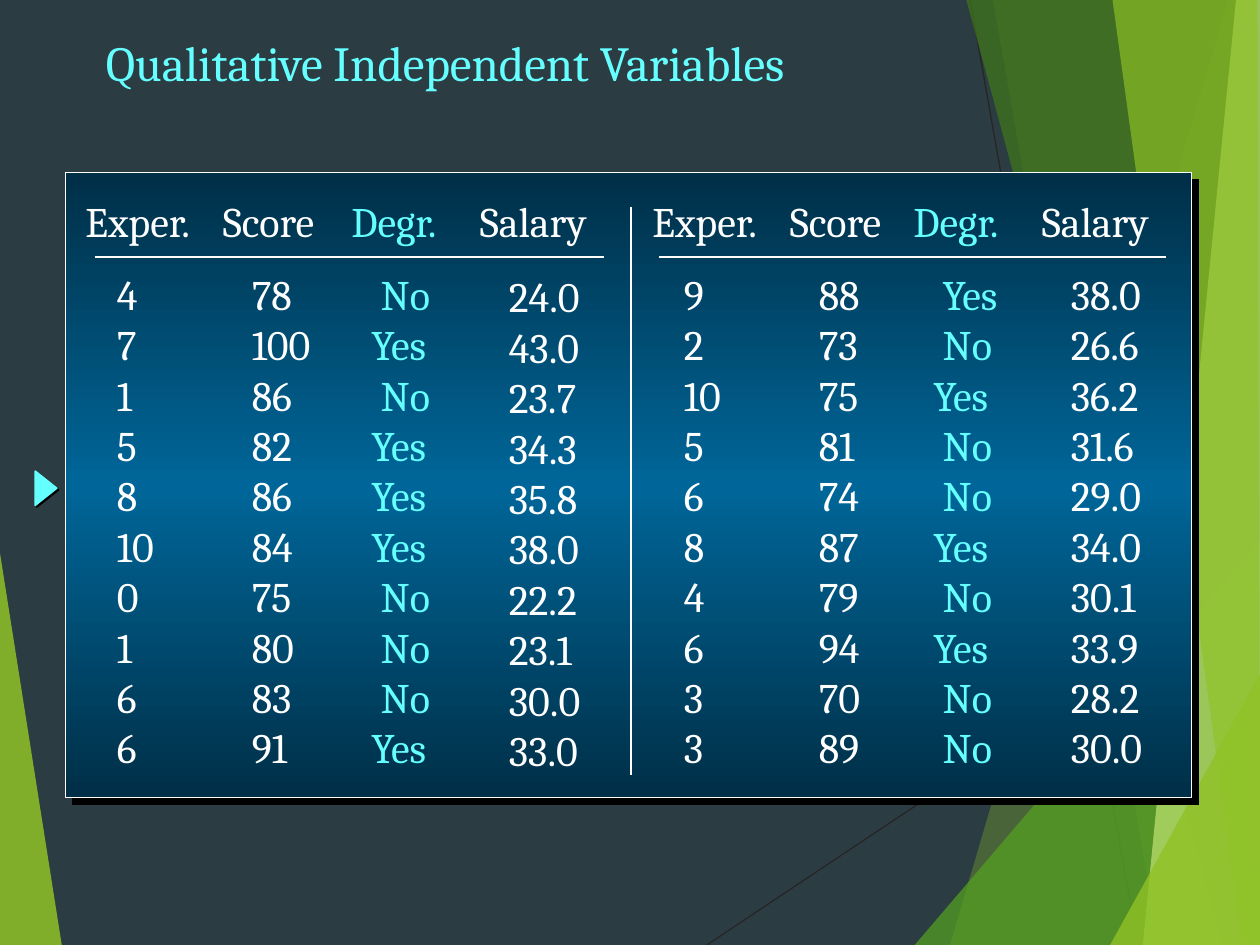
from copy import deepcopy

from lxml import etree
from pptx import Presentation
from pptx.dml.color import RGBColor
from pptx.enum.shapes import MSO_CONNECTOR, MSO_SHAPE
from pptx.enum.text import MSO_ANCHOR, MSO_AUTO_SIZE, PP_ALIGN
from pptx.oxml.ns import qn
from pptx.util import Inches, Pt

STRAIGHT = MSO_CONNECTOR.STRAIGHT
RECTANGLE = MSO_SHAPE.RECTANGLE
TRIANGLE = MSO_SHAPE.ISOSCELES_TRIANGLE
MIDDLE = MSO_ANCHOR.MIDDLE
LEFT = PP_ALIGN.LEFT
NO_AUTOFIT = MSO_AUTO_SIZE.NONE

FONT = "Cambria"
WHITE = "FFFFFF"
CYAN = "66FFFF"
NAVY = "002F47"
BLUE = "006699"
GREEN = "90C226"

# Fill, opacity in percent, outline points in inches
FACETS = [
    (GREEN, 85, [(0, 4.39), (0.49, 7.5), (0, 7.5)]),
    (GREEN, 30, [(9.75, 0), (7.54, 7.5), (10, 7.5), (10, 0)]),
    (GREEN, 20, [(7.88, 0), (9.2, 7.5), (10, 7.5), (10, 0)]),
    ("54A021", 72, [(7.26, 7.5), (10, 4.29), (10, 7.5)]),
    ("3F7819", 70, [(7.67, 0), (9.7, 7.5), (10, 7.5), (10, 0)]),
    ("C0E474", 70, [(9.81, 0), (9.07, 7.5), (10, 7.5), (10, 0)]),
    (GREEN, 65, [(8.83, 0), (9.86, 7.5), (10, 7.5), (9.98, 0)]),
    (GREEN, 80, [(8.81, 7.5), (10, 5.35), (10, 7.5)]),
]

# Heading, indent of the values below it, width of the values, colour
COLUMNS = [
    ("Exper.", 0.25, 0.69, WHITE),
    ("Score", 0.23, 0.77, WHITE),
    ("Degr.", 0.16, 0.77, CYAN),
    ("Salary", 0.23, 0.77, WHITE),
]
FIRST_TEN = [
    ["4", "7", "1", "5", "8", "10", "0", "1", "6", "6"],
    ["78", "100", "86", "82", "86", "84", "75", "80", "83", "91"],
    [" No", "Yes", " No", "Yes", "Yes", "Yes", " No", " No", " No", "Yes"],
    ["24.0", "43.0", "23.7", "34.3", "35.8", "38.0", "22.2", "23.1", "30.0", "33.0"],
]
LAST_TEN = [
    ["9", "2", "10", "5", "6", "8", "4", "6", "3", "3"],
    ["88", "73", "75", "81", "74", "87", "79", "94", "70", "89"],
    [" Yes", " No", "Yes", " No", " No", "Yes", " No", "Yes", " No", " No"],
    ["38.0", "26.6", "36.2", "31.6", "29.0", "34.0", "30.1", "33.9", "28.2", "30.0"],
]


def rgb(color):
    return RGBColor.from_string(color)


def inches(*lengths):
    return [Inches(length) for length in lengths]


def write(shape, lines, *, size=24, color=WHITE, wrap=False):
    """Fill a shape with one left-aligned paragraph per line."""
    frame = shape.text_frame
    frame.word_wrap = wrap
    frame.auto_size = NO_AUTOFIT
    frame.vertical_anchor = MIDDLE
    frame.text = "\n".join(lines)
    for paragraph in frame.paragraphs:
        paragraph.alignment = LEFT
        font = paragraph.font
        font.name, font.size, font.color.rgb = FONT, Pt(size), rgb(color)


def add_rule(slide, start, end, color=WHITE, width=1):
    rule = slide.shapes.add_connector(STRAIGHT, *inches(*start, *end))
    rule.line.color.rgb = rgb(color)
    rule.line.width = Pt(width)
    etree.SubElement(rule._element.spPr, qn("a:effectLst"))


def add_shadow(shape, distance):
    """Cast a hard black shadow to the lower right."""
    shape.shadow.inherit = False
    effects = shape._element.spPr.find(qn("a:effectLst"))
    shadow = etree.SubElement(effects, qn("a:outerShdw"), dist=str(Pt(distance)),
                              dir="2700000", algn="ctr", rotWithShape="0")
    etree.SubElement(shadow, qn("a:srgbClr"), val="000000")


def add_facet(slide, color, opacity, points):
    start, *others = [inches(*point) for point in points]
    builder = slide.shapes.build_freeform(*start)
    builder.add_line_segments(others, close=True)
    facet = builder.convert_to_shape()
    facet.shadow.inherit = False
    facet.line.fill.background()
    facet.fill.solid()
    facet.fill.fore_color.rgb = rgb(color)
    color_element = facet._element.spPr.find(qn("a:solidFill"))[0]
    etree.SubElement(color_element, qn("a:alpha"), val=str(opacity * 1000))


def add_backdrop(slide):
    slide.background.fill.solid()
    slide.background.fill.fore_color.rgb = rgb("2C3C43")
    for start, end in [((5.61, 7.5), (10, 4.57)), ((7.7, 0), (9.03, 7.5))]:
        add_rule(slide, start, end, color="262626", width=0.75)
    for facet in FACETS:
        add_facet(slide, *facet)


def add_title(slide, box):
    title = slide.shapes.title
    title.left, title.top, title.width, title.height = inches(*box)
    write(title, ["Qualitative Independent Variables"], size=28, color=CYAN, wrap=True)


def add_panel(slide, box):
    panel = slide.shapes.add_shape(RECTANGLE, *inches(*box))
    panel.fill.gradient()
    panel.fill.gradient_angle = 270
    stop_list = panel._element.spPr.find(qn("a:gradFill")).find(qn("a:gsLst"))
    stop_list.append(deepcopy(stop_list[0]))
    shades = [(0, NAVY), (0.5, BLUE), (1, NAVY)]
    for stop, (position, color) in zip(panel.fill.gradient_stops, shades):
        stop.position = position
        stop.color.rgb = rgb(color)
    panel.line.color.rgb = rgb(WHITE)
    panel.line.width = Pt(0.5)
    add_shadow(panel, 5.7)


def add_marker(slide, box):
    marker = slide.shapes.add_shape(TRIANGLE, *inches(*box))
    marker.rotation = 90
    marker.fill.solid()
    marker.fill.fore_color.rgb = marker.line.color.rgb = rgb(CYAN)
    marker.line.width = Pt(1)
    add_shadow(marker, 1.4)


def add_data_half(slide, top, column_lefts, rule_ends, values, salary_drop=0):
    """Place four headed columns and the rule under their headings."""
    drops = [0, 0, 0, salary_drop]
    for (heading, indent, width, color), left, entries, drop in zip(
            COLUMNS, column_lefts, values, drops):
        heading_box = slide.shapes.add_textbox(*inches(left, top, 1.25, 0.54))
        write(heading_box, [heading], color=color)
        values_box = slide.shapes.add_textbox(
            *inches(left + indent, top + 0.58 + drop, width, 4.14))
        write(values_box, entries, color=color)
    rule_left, rule_right = rule_ends
    add_rule(slide, (rule_left, top + 0.56), (rule_right, top + 0.56))


def main():
    deck = Presentation()
    deck.slide_width, deck.slide_height = inches(10, 7.5)
    slide = deck.slides.add_slide(deck.slide_layouts[5])
    add_backdrop(slide)
    add_title(slide, (0.74, 0.13, 8.5, 0.73))
    add_panel(slide, (0.52, 1.37, 8.94, 4.96))
    add_rule(slide, (5.01, 1.64), (5.01, 6.15))
    add_data_half(slide, 1.48, (0.58, 1.67, 2.69, 3.71), (0.75, 4.79),
                  FIRST_TEN, salary_drop=0.02)
    add_data_half(slide, 1.48, (5.08, 6.17, 7.15, 8.17), (5.23, 9.25), LAST_TEN)
    add_marker(slide, (0.23, 3.79, 0.27, 0.17))
    deck.save("out.pptx")


if __name__ == "__main__":
    main()
